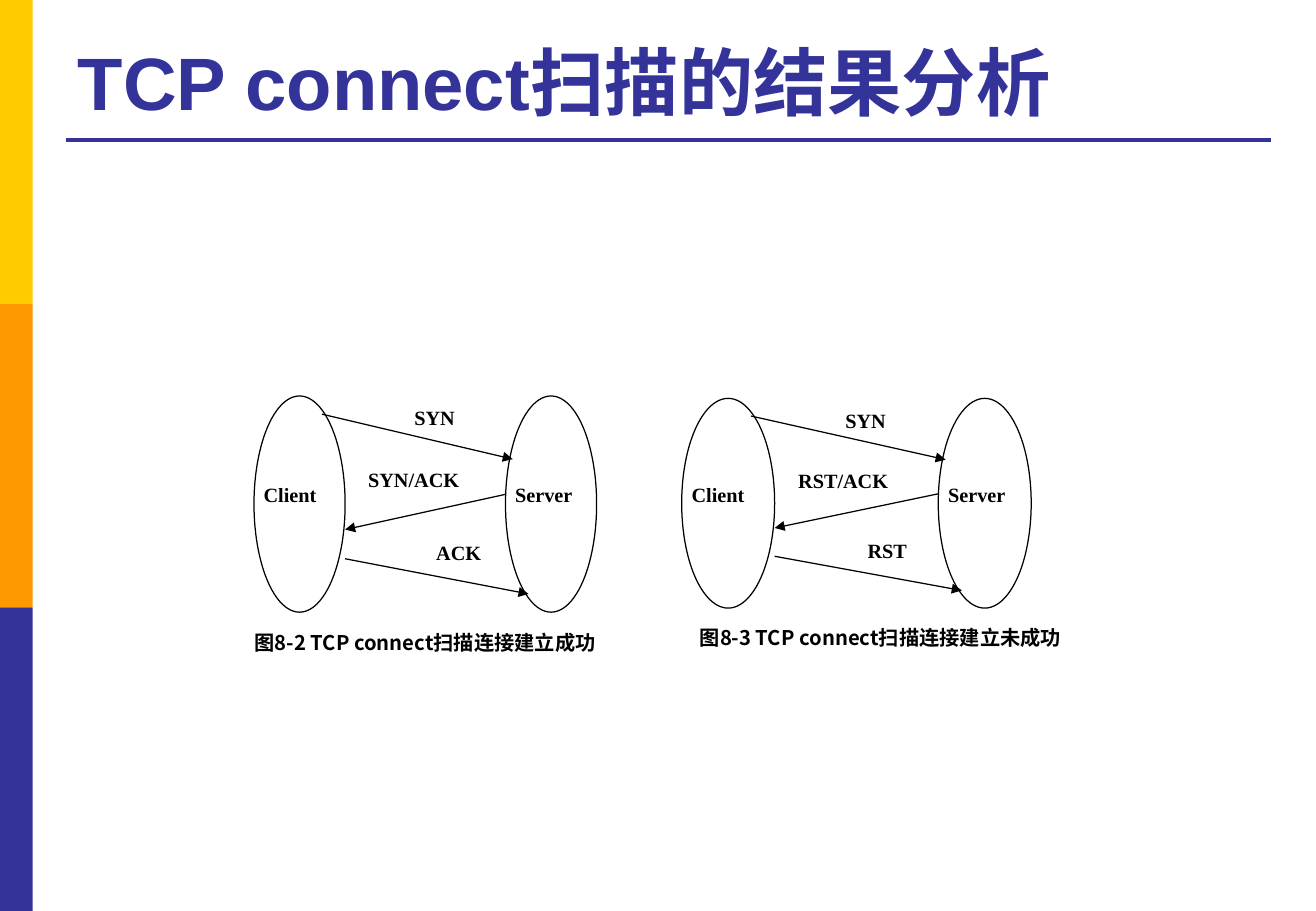
from lxml import etree
from pptx import Presentation
from pptx import util as u
from pptx.dml.color import RGBColor
from pptx.enum import shapes, text
from pptx.oxml.ns import qn

COLORS = {
    "yellow": "FFCC00",
    "orange": "FF9900",
    "indigo": "333399",
    "black": "000000",
    "white": "FFFFFF",
}
LATIN, SERIF, CJK = "Arial", "Times New Roman", "Noto Sans CJK SC"


def color(name):
    return RGBColor.from_string(COLORS[name])


class Deck:
    def __init__(self, width, height):
        self.prs = Presentation()
        self.prs.slide_width = u.Inches(width)
        self.prs.slide_height = u.Inches(height)
        self.s = self.prs.slides.add_slide(self.prs.slide_layouts[5])
        self.shapes = self.s.shapes

    def start_group(self):
        self.shapes = self.s.shapes.add_group_shape().shapes

    def run(self, p, content, size, font, ink):
        r = p.add_run()
        r.text = content
        r.font.size = u.Pt(size)
        r.font.bold = True
        r.font.name = font
        r.font.color.rgb = color(ink)
        ea = etree.SubElement(r.font._element, qn("a:ea"))
        ea.set("typeface", CJK)

    def title(self, box, content):
        sp = self.s.shapes.title
        sp.left, sp.top, sp.width, sp.height = map(u.Inches, box)
        tf = sp.text_frame
        tf.word_wrap = True
        tf.auto_size = text.MSO_AUTO_SIZE.NONE
        tf.vertical_anchor = text.MSO_ANCHOR.BOTTOM
        p = tf.paragraphs[0]
        p.alignment = text.PP_ALIGN.LEFT
        self.run(p, content, 44, LATIN, "indigo")

    def shape(self, kind, box, fill, line=None):
        sp = self.shapes.add_shape(kind, *map(u.Inches, box))
        sp.shadow.inherit = False
        sp.fill.solid()
        sp.fill.fore_color.rgb = color(fill)
        if line:
            sp.line.color.rgb = color(line)
            sp.line.width = u.Pt(0.75)
        else:
            sp.line.fill.background()
        return sp

    def label(self, box, content, font=SERIF, align=text.PP_ALIGN.JUSTIFY):
        sp = self.shape(shapes.MSO_SHAPE.RECTANGLE, box, "white")
        tf = sp.text_frame
        tf.word_wrap = True
        tf.margin_left = tf.margin_right = tf.margin_top = tf.margin_bottom = 0
        tf.vertical_anchor = text.MSO_ANCHOR.TOP
        p = tf.paragraphs[0]
        p.alignment = align
        self.run(p, content, 12, font, "black")

    def line(self, start, end, ink, width, arrow=False):
        cx = self.shapes.add_connector(
            shapes.MSO_CONNECTOR.STRAIGHT, *map(u.Inches, (*start, *end)))
        cx.line.color.rgb = color(ink)
        cx.line.width = u.Pt(width)
        if arrow:
            tail = etree.SubElement(cx.line._get_or_add_ln(), qn("a:tailEnd"))
            tail.set("type", "triangle")
        etree.SubElement(cx._element.spPr, qn("a:effectLst"))

    def handshake(self, origin, scale, messages, caption, caption_width):
        (left, top), (sx, sy) = origin, scale

        def at(x, y):
            return left + x * sx, top + y * sy

        def box(x, y, w, h):
            return (*at(x, y), w * sx, h * sy)

        self.start_group()
        for x, name in ((0, "Client"), (2.07, "Server")):
            self.shape(shapes.MSO_SHAPE.OVAL, box(x, 0, 0.75, 1.78), "white", "black")
            self.label(box(x + 0.08, 0.71, 0.57, 0.45), name)
        places = ((1.32, 0.08, 0.5), (0.94, 0.59, 0.94), (1.5, 1.19, 0.5))
        for (x, y, w), message in zip(places, messages):
            self.label(box(x, y, w, 0.3), message)
        self.label((*at(-0.19, 1.93), caption_width, 0.37), caption,
                   CJK, text.PP_ALIGN.CENTER)
        arrows = (
            ((0.56, 0.15), (2.13, 0.52)),
            ((2.07, 0.81), (0.75, 1.1)),
            ((0.75, 1.34), (2.26, 1.63)),
        )
        for start, end in arrows:
            self.line(at(*start), at(*end), "black", 0.75, arrow=True)


def main():
    deck = Deck(10.83, 7.5)
    for i, fill in enumerate(("yellow", "orange", "indigo")):
        deck.shape(shapes.MSO_SHAPE.RECTANGLE, (0, 2.5 * i, 0.27, 2.5), fill)
    deck.line((0.54, 1.15), (10.46, 1.15), "indigo", 2.25)
    deck.title((0.54, 0.21, 9.91, 0.87), "TCP connect扫描的结果分析")
    deck.handshake((2.09, 3.26), (1, 1), ("SYN", "SYN/ACK", "ACK"),
                   "图8-2 TCP connect扫描连接建立成功", 3.2)
    deck.handshake((5.61, 3.28), (1.02, 0.97), ("SYN", "RST/ACK", "RST"),
                   "图8-3 TCP connect扫描连接建立未成功", 3.66)
    deck.prs.save("out.pptx")


if __name__ == "__main__":
    main()
